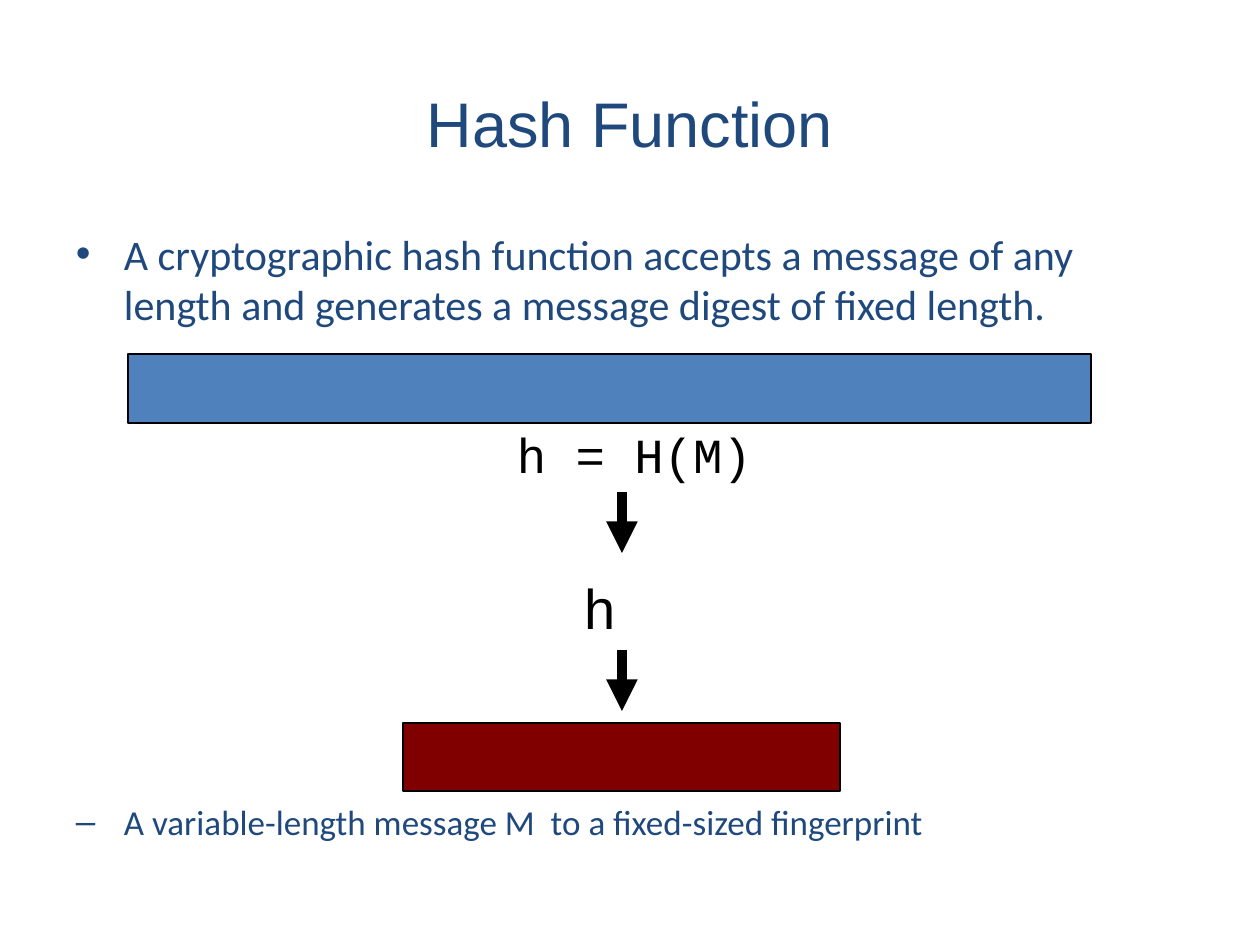
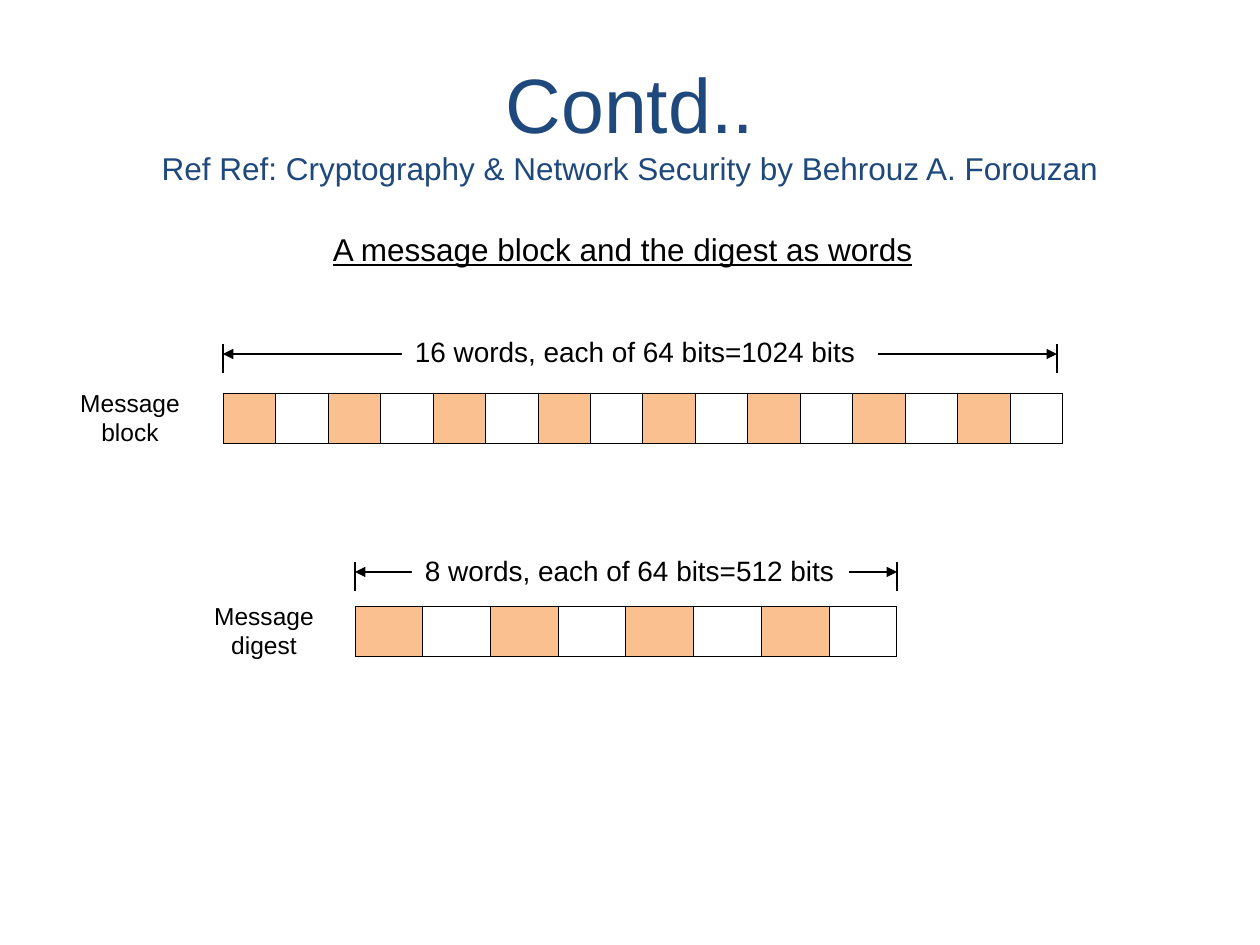
"""Build two slides on hash functions and message digests."""
from dataclasses import dataclass
from typing import Any, NamedTuple

from lxml.etree import SubElement
from pptx import Presentation
from pptx.dml.color import RGBColor
from pptx.enum.shapes import MSO_CONNECTOR as Connector, MSO_SHAPE as Shape
from pptx.enum.text import MSO_ANCHOR as Anchor, MSO_AUTO_SIZE as AutoSize, PP_ALIGN as Align
from pptx.oxml.ns import qn
from pptx.util import Emu, Pt

PX_PER_INCH = 126


def px(length: float) -> Emu:
    """Turn pixels into EMU."""
    return Emu(round(length * 914400 / PX_PER_INCH))


@dataclass(frozen=True)
class Theme:
    """Colours, fonts and type sizes shared by the slides."""
    navy: str = "1F497D"
    black: str = "000000"
    white: str = "FFFFFF"
    blue: str = "4F81BD"
    maroon: str = "800000"
    peach: str = "FAC090"
    sans: str = "Arial"
    body: str = "Calibri"
    mono: str = "Courier New"
    title: int = 36
    large_title: int = 44
    symbol: int = 32
    formula: int = 28
    bullet: int = 24
    sub_bullet: int = 20
    heading: int = 18
    measure: int = 16
    caption: int = 14
    thin: float = 0.75
    grid: float = 0.45
    thick: float = 6


THEME = Theme()


class Frame(NamedTuple):
    """Place and size in px."""
    left: int
    top: int
    width: int
    height: int

    def emu(self) -> list[Emu]:
        """Give the four lengths in EMU."""
        return [px(length) for length in self]


class Span(NamedTuple):
    """Text with one format."""
    text: str
    size: int
    font: str = THEME.sans
    color: str = THEME.black
    underline: bool = False


@dataclass(frozen=True)
class Label:
    """Text in a frame."""
    frame: Frame
    span: Span
    align: Align = Align.LEFT
    bullet: str = ""
    inset: tuple[int, int] = (13, 6)


@dataclass(frozen=True)
class Bar:
    """A filled rectangle."""
    frame: Frame
    color: str


@dataclass(frozen=True)
class WordStrip:
    """A row of words with its caption and measured width."""
    frame: Frame
    words: int
    measure_right: int
    measure_y: int
    tick_top: int
    measure: Label
    caption: Label


TITLE_FRAME = Frame(63, 38, 1134, 158)
TICK_HEIGHT = 29
HANGING = 48

HASH_BARS = (
    Bar(Frame(128, 354, 963, 69), THEME.blue),
    Bar(Frame(403, 723, 437, 68), THEME.maroon),
)
HASH_LABELS = (
    Label(Frame(76, 228, 1109, 104),
          Span("A cryptographic hash function accepts a message of any length and "
               "generates a message digest of fixed length.",
               THEME.bullet, THEME.body, THEME.navy), bullet="•", inset=(0, 0)),
    Label(Frame(517, 425, 300, 56),
          Span("h = H(M)", THEME.formula, THEME.mono), inset=(0, 0)),
    Label(Frame(572, 567, 100, 81), Span("h", THEME.symbol)),
    Label(Frame(76, 800, 1109, 44),
          Span("A variable-length message M  to a fixed-sized fingerprint",
               THEME.sub_bullet, THEME.body, THEME.navy), bullet="–", inset=(0, 0)),
)
ARROW_X, ARROW_TOPS, ARROW_LENGTH = 622, (492, 650), 61

WORDS_HEADING = Label(Frame(320, 224, 743, 50),
                      Span("A message block and the digest as words",
                           THEME.heading, underline=True))
STRIPS = (
    WordStrip(Frame(223, 393, 840, 50), 16, 1057, 354, 344,
              Label(Frame(402, 329, 476, 47),
                    Span("16 words, each of 64 bits=1024 bits", THEME.measure)),
              Label(Frame(63, 382, 134, 72),
                    Span("Message block", THEME.caption), Align.CENTER)),
    WordStrip(Frame(355, 606, 542, 50), 8, 897, 572, 562,
              Label(Frame(412, 548, 437, 47),
                    Span("8 words, each of 64 bits=512 bits", THEME.measure)),
              Label(Frame(197, 595, 134, 72),
                    Span("Message digest", THEME.caption), Align.CENTER)),
)


def apply(target: Any, formats: dict[str, Any]) -> None:
    """Set each named attribute on the target."""
    for name, value in formats.items():
        setattr(target, name, value)


def paint(fill: Any, color: str) -> None:
    """Give a fill one solid colour."""
    fill.solid()
    fill.fore_color.rgb = RGBColor.from_string(color)


def write_span(para: Any, span: Span) -> None:
    """Add one formatted run to a paragraph."""
    run = para.add_run()
    run.text = span.text
    apply(run.font, {"size": Pt(span.size), "name": span.font,
                     "underline": span.underline or None, "bold": False})
    run.font.color.rgb = RGBColor.from_string(span.color)


def add_bullet(para: Any, mark: str, color: str) -> None:
    """Give a paragraph a hanging bullet."""
    props = para._p.get_or_add_pPr()
    apply_indent = {"marL": px(HANGING), "indent": -px(HANGING)}
    for name, value in apply_indent.items():
        props.set(name, str(value))
    SubElement(SubElement(props, qn("a:buClr")), qn("a:srgbClr"), val=color)
    SubElement(props, qn("a:buFont"), typeface=THEME.sans)
    SubElement(props, qn("a:buChar"), char=mark)


def add_title(page: Any, *spans: Span) -> None:
    """Place the title and write one line for each span."""
    box = page.shapes.title
    apply(box, dict(zip(("left", "top", "width", "height"), TITLE_FRAME.emu())))
    apply(box.text_frame, {"vertical_anchor": Anchor.MIDDLE, "word_wrap": True,
                           "auto_size": AutoSize.NONE,
                           "margin_top": px(16), "margin_bottom": px(6)})
    para = box.text_frame.paragraphs[0]
    para.alignment = Align.CENTER
    for index, span in enumerate(spans):
        if index:
            para.add_line_break()
        write_span(para, span)


def add_label(page: Any, label: Label, backing: str = "") -> None:
    """Draw a text box, or a rectangle when it has a backing colour."""
    if backing:
        box = page.shapes.add_shape(Shape.RECTANGLE, *label.frame.emu())
        box.shadow.inherit = False
        paint(box.fill, backing)
        box.line.fill.background()
    else:
        box = page.shapes.add_textbox(*label.frame.emu())
    side, end = map(px, label.inset)
    apply(box.text_frame, {"word_wrap": True, "vertical_anchor": Anchor.TOP,
                           "margin_left": side, "margin_right": side,
                           "margin_top": end, "margin_bottom": end})
    para = box.text_frame.paragraphs[0]
    para.alignment = label.align
    if label.bullet:
        add_bullet(para, label.bullet, label.span.color)
    write_span(para, label.span)


def add_bar(page: Any, bar: Bar) -> None:
    """Draw an outlined rectangle."""
    box = page.shapes.add_shape(Shape.RECTANGLE, *bar.frame.emu())
    box.shadow.inherit = False
    paint(box.fill, bar.color)
    paint(box.line.fill, THEME.black)
    box.line.width = Pt(THEME.thin)


def add_line(page: Any, start: tuple[int, int], end: tuple[int, int],
             width: float = THEME.thin, heads: tuple[str, ...] = ()) -> None:
    """Draw a straight line with arrowheads at the named ends."""
    line = page.shapes.add_connector(Connector.STRAIGHT, *map(px, start + end))
    paint(line.line.fill, THEME.black)
    line.line.width = Pt(width)
    for head in heads:
        SubElement(line.line._get_or_add_ln(), qn(f"a:{head}"), type="triangle")
    SubElement(line._element.spPr, qn("a:effectLst"))


def format_cell(cell: Any, color: str) -> None:
    """Give a cell thin black borders and a fill."""
    apply(cell, {"margin_top": 0, "margin_bottom": 0})
    props = cell._tc.get_or_add_tcPr()
    for side in ("lnL", "lnR", "lnT", "lnB"):
        border = SubElement(props, qn(f"a:{side}"), w=str(Pt(THEME.grid)))
        SubElement(SubElement(border, qn("a:solidFill")), qn("a:srgbClr"), val=THEME.black)
    paint(cell.fill, color)


def add_strip(page: Any, strip: WordStrip) -> None:
    """Draw a row of words with its dimension line and caption."""
    table = page.shapes.add_table(1, strip.words, *strip.frame.emu()).table
    apply(table, {"first_row": False, "horz_banding": False})
    for index, column in enumerate(table.columns):
        column.width = px(strip.frame.width / strip.words)
        format_cell(table.cell(0, index), THEME.white if index % 2 else THEME.peach)
    ends = (strip.frame.left, strip.measure_right)
    for x in ends:
        add_line(page, (x, strip.tick_top), (x, strip.tick_top + TICK_HEIGHT))
    start, end = ((x, strip.measure_y) for x in ends)
    add_line(page, start, end, heads=("headEnd", "tailEnd"))
    add_label(page, strip.measure, THEME.white)
    add_label(page, strip.caption)


def build_hash_page(page: Any) -> None:
    """Show a message reduced to a fixed-size digest."""
    add_title(page, Span("Hash Function", THEME.title, color=THEME.navy))
    for bar in HASH_BARS:
        add_bar(page, bar)
    for label in HASH_LABELS:
        add_label(page, label)
    for top in ARROW_TOPS:
        add_line(page, (ARROW_X, top), (ARROW_X, top + ARROW_LENGTH),
                 THEME.thick, ("tailEnd",))


def build_words_page(page: Any) -> None:
    """Show the message block and the digest as rows of words."""
    add_title(page, Span("Contd..", THEME.large_title, color=THEME.navy),
              Span("Ref Ref: Cryptography & Network Security by Behrouz A. Forouzan",
                   THEME.heading, color=THEME.navy))
    add_label(page, WORDS_HEADING)
    for strip in STRIPS:
        add_strip(page, strip)


def main() -> None:
    """Build and save the deck."""
    deck = Presentation()
    apply(deck, {"slide_width": px(1260), "slide_height": px(945)})
    title_only = deck.slide_layouts.get_by_name("Title Only")
    for build in (build_hash_page, build_words_page):
        build(deck.slides.add_slide(title_only))
    deck.save("out.pptx")


if __name__ == "__main__":
    main()
